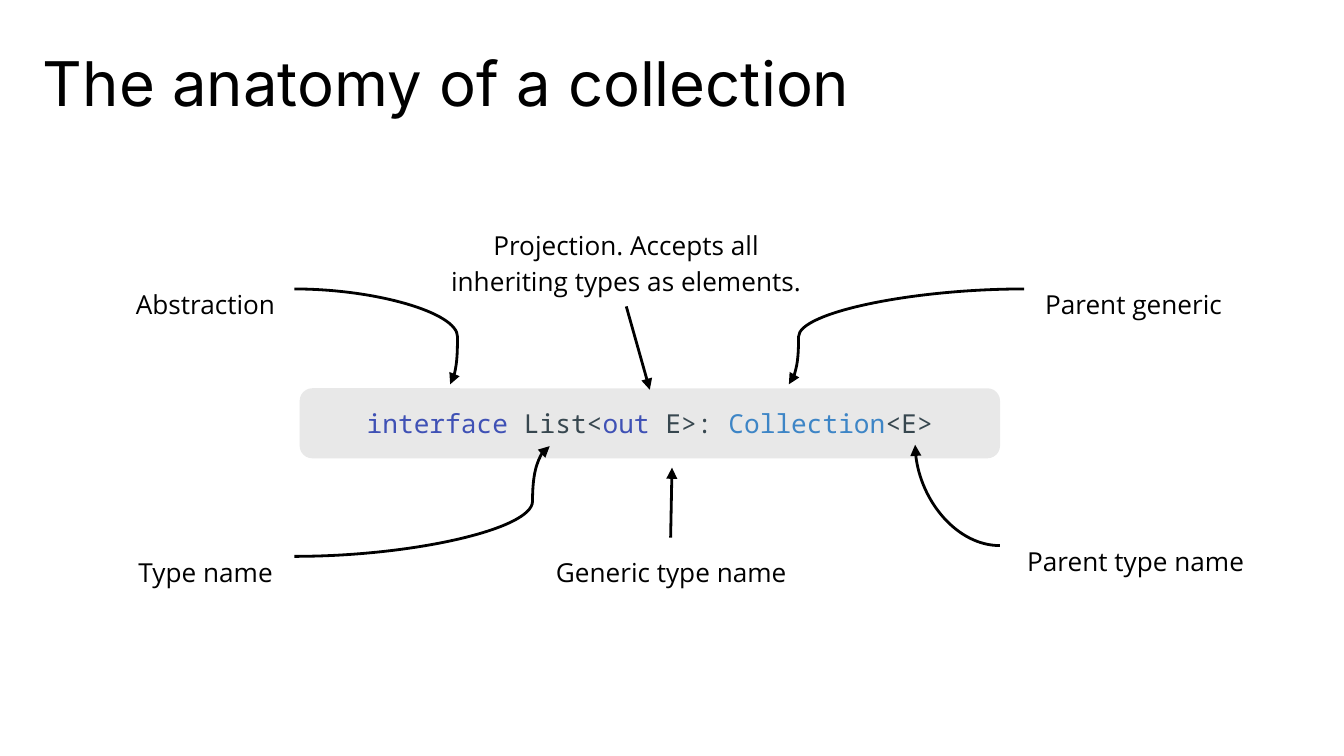
from lxml import etree
from pptx import Presentation
from pptx.dml.color import RGBColor
from pptx.enum import shapes, text
from pptx.oxml.ns import qn
from pptx.util import Inches, Pt

THEME = {
    "ink": "000000", "panel": "E8E8E8", "keyword": "3F51B5",
    "plain": "37474F", "parent": "3D85C6",
    "title_font": "Inter", "code_font": "Noto Sans Mono", "label_font": "Open Sans",
    "title_size": 33, "body_size": 14, "stroke": 1.5,
}
TOP, LEFT, BOTTOM, RIGHT = range(4)

TITLE = "The anatomy of a collection"
TITLE_BOX = (0.32, 0.32, 9.3, 0.5)
CODE = [
    ("interface", "keyword"), (" List<", "plain"), ("out", "keyword"),
    (" E>: ", "plain"), ("Collection", "parent"), ("<E>", "plain"),
]
CODE_BOX = (2.24, 2.9, 5.19, 0.5)
LABELS = [
    ("Abstraction", (0.87, 1.93, 1.32, 0.44), 1.5),
    ("Projection. Accepts all inheriting types as elements.", (3.13, 1.57, 3.06, 0.71), 1.15),
    ("Parent generic", (7.62, 1.93, 1.63, 0.44), 1.5),
    ("Type name", (0.87, 3.92, 1.32, 0.44), 1.5),
    ("Generic type name", (3.92, 3.92, 2.15, 0.44), 1.5),
    ("Parent type name", (7.44, 3.84, 2.02, 0.44), 1.5),
]
STRAIGHT_ARROWS = [
    (1, BOTTOM, (4.66, 2.28), (4.83, 2.9), TOP),
    (4, None, (4.99, 4), (5, 3.48), None),
]
CURVED_ARROWS = [
    (0, RIGHT, (2.19, 2.15), (3.35, 2.86), 1.047),
    (3, RIGHT, (2.19, 4.14), (4.09, 3.32), 0.933),
    (5, LEFT, (7.44, 4.05), (6.81, 3.31), None),
    (2, LEFT, (7.62, 2.15), (5.87, 2.86), 0.959),
]


def color(name):
    return RGBColor.from_string(THEME[name])


def write(shape, runs, font, size, align, spacing=1, side_inset=0.1, **frame_format):
    frame = shape.text_frame
    settings = {
        "word_wrap": True,
        "margin_left": Inches(side_inset), "margin_right": Inches(side_inset),
        "margin_top": Inches(0.1), "margin_bottom": Inches(0.1),
        **frame_format,
    }
    for key, value in settings.items():
        setattr(frame, key, value)
    paragraph = frame.paragraphs[0]
    paragraph.alignment = align
    paragraph.line_spacing = spacing
    for words, tint in runs:
        run = paragraph.add_run()
        run.text = words
        run.font.name = THEME[font]
        run.font.size = Pt(THEME[size])
        run.font.color.rgb = color(tint)


def add_arrow(slide, kind, start, end):
    arrow = slide.shapes.add_connector(kind, *map(Inches, start + end))
    arrow.line.color.rgb = color("ink")
    arrow.line.width = Pt(THEME["stroke"])
    etree.SubElement(arrow.line._get_or_add_ln(), qn("a:tailEnd"), type="triangle")
    etree.SubElement(arrow._element.spPr, qn("a:effectLst"))
    return arrow


def bend(arrow, ratio):
    geometry = arrow._element.spPr.find(qn("a:prstGeom"))
    if ratio is None:
        geometry.set("prst", "curvedConnector2")
        return
    guides = geometry.find(qn("a:avLst"))
    if guides is None:
        guides = etree.SubElement(geometry, qn("a:avLst"))
    etree.SubElement(guides, qn("a:gd"), name="adj1", fmla=f"val {round(ratio * 100000)}")


def main():
    deck = Presentation()
    deck.slide_width = Inches(10)
    deck.slide_height = deck.slide_width * 9 // 16
    slide = deck.slides.add_slide(deck.slide_layouts[6])

    title = slide.shapes.add_textbox(*map(Inches, TITLE_BOX))
    write(title, [(TITLE, "ink")], "title_font", "title_size",
          text.PP_ALIGN.LEFT, 0.85, side_inset=0)

    code = slide.shapes.add_shape(shapes.MSO_SHAPE.ROUNDED_RECTANGLE, *map(Inches, CODE_BOX))
    code.shadow.inherit = False
    code.fill.solid()
    code.fill.fore_color.rgb = code.line.color.rgb = color("panel")
    code.line.width = Pt(THEME["stroke"])
    write(code, CODE, "code_font", "body_size", text.PP_ALIGN.CENTER,
          vertical_anchor=text.MSO_ANCHOR.MIDDLE)

    labels = []
    for words, box, spacing in LABELS:
        label = slide.shapes.add_textbox(*map(Inches, box))
        write(label, [(words, "ink")], "label_font", "body_size", text.PP_ALIGN.CENTER,
              spacing, auto_size=text.MSO_AUTO_SIZE.SHAPE_TO_FIT_TEXT)
        labels.append(label)

    for source, side, start, end, code_side in STRAIGHT_ARROWS:
        arrow = add_arrow(slide, shapes.MSO_CONNECTOR.STRAIGHT, start, end)
        if side is not None:
            arrow.begin_connect(labels[source], side)
        if code_side is not None:
            arrow.end_connect(code, code_side)

    for source, side, start, end, ratio in CURVED_ARROWS:
        arrow = add_arrow(slide, shapes.MSO_CONNECTOR.CURVE, start, end)
        bend(arrow, ratio)
        arrow.begin_connect(labels[source], side)

    deck.save("out.pptx")


if __name__ == "__main__":
    main()
